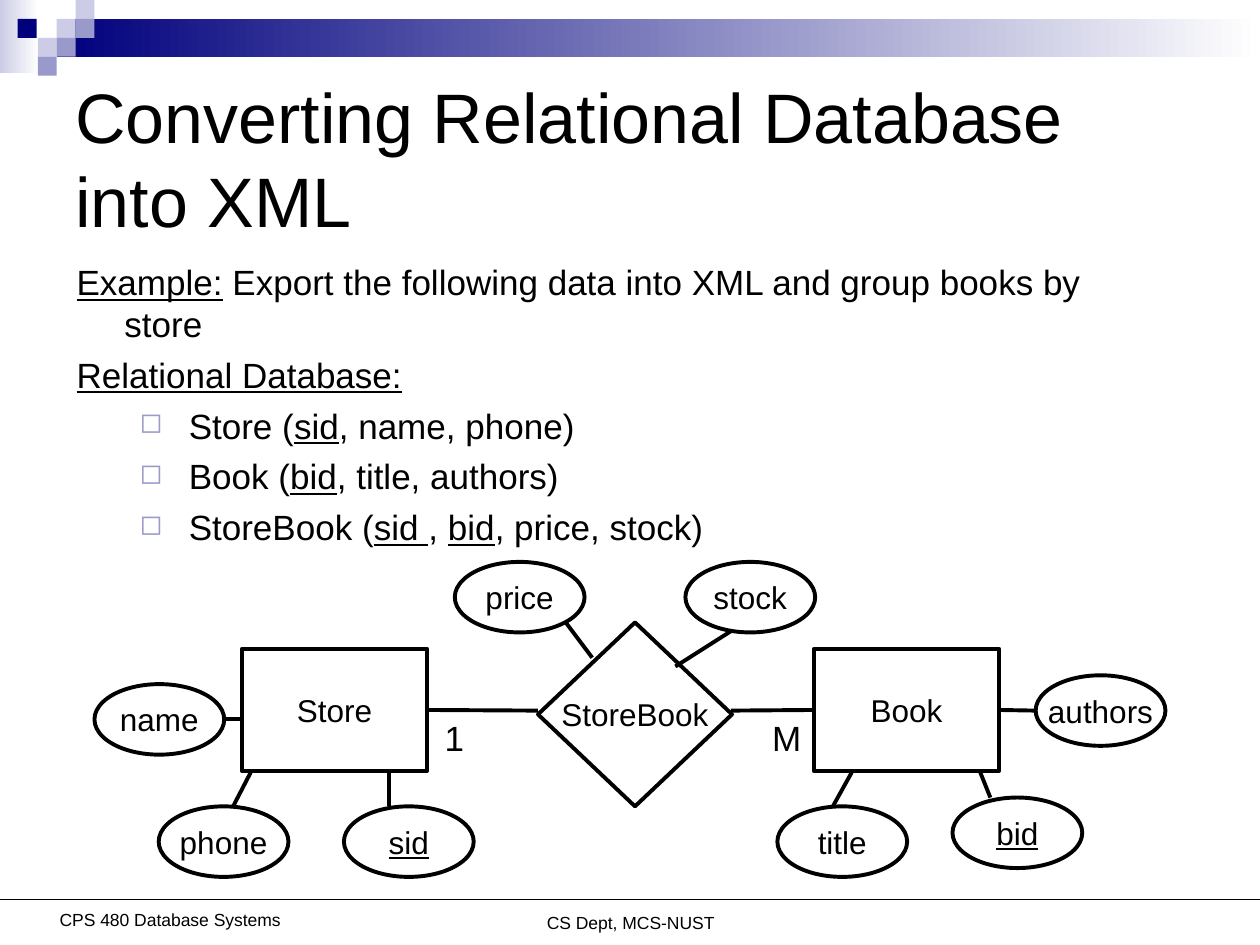
"""Build the slide on converting a relational database into XML."""
from typing import NamedTuple

from lxml import etree
from pptx import Presentation
from pptx.dml.color import RGBColor
from pptx.enum.shapes import MSO_CONNECTOR, MSO_SHAPE
from pptx.enum.text import MSO_ANCHOR, PP_ALIGN
from pptx.oxml.ns import qn
from pptx.util import Inches, Pt

RECT, OVAL, DIAMOND = MSO_SHAPE.RECTANGLE, MSO_SHAPE.OVAL, MSO_SHAPE.DIAMOND
STRAIGHT = MSO_CONNECTOR.STRAIGHT
LEFT, CENTER = PP_ALIGN.LEFT, PP_ALIGN.CENTER
TOP, MIDDLE = MSO_ANCHOR.TOP, MSO_ANCHOR.MIDDLE
BLACK, WHITE = RGBColor(0, 0, 0), RGBColor(255, 255, 255)
NAVY = RGBColor(0x00, 0x00, 0x7D)
LILAC = RGBColor(0x99, 0x99, 0xCC)
PALE = RGBColor(0xCC, 0xCC, 0xE6)
FONT = "Arial"
TILE = 0.15
OVAL_W, OVAL_H = 1.03, 0.56
BOX_W, BOX_H = 1.47, 0.97


class Area(NamedTuple):
    x: float
    y: float
    w: float
    h: float


class Node(NamedTuple):
    text: str
    kind: int
    area: Area
    key: bool = False


class Link(NamedTuple):
    x1: float
    y1: float
    x2: float
    y2: float
    start: tuple = ()
    end: tuple = ()


class Label(NamedTuple):
    text: str
    area: Area
    size: int
    align: int = LEFT
    anchor: int = TOP
    wrap: bool = True


class Item(NamedTuple):
    words: tuple
    bullet: bool = False


def oval(text: str, x: float, y: float, key: bool = False) -> Node:
    return Node(text, OVAL, Area(x, y, OVAL_W, OVAL_H), key)


def box(text: str, x: float) -> Node:
    return Node(text, RECT, Area(x, 5.15, BOX_W, BOX_H))


TILES = [
    (0.45, 0.15, PALE), (0.6, 0, PALE), (0.6, 0.15, LILAC), (0.3, 0.3, PALE),
    (0.14, 0.15, NAVY), (0.45, 0.3, LILAC), (0.3, 0.45, LILAC),
]
BANDS = [(Area(0, 0, 0.31, 0.58), PALE), (Area(0.45, 0.15, 9.55, 0.3), NAVY)]
LABELS = [
    Label("CS Dept, MCS-NUST", Area(2.92, 7.17, 4.17, 0.3), 10, CENTER, MIDDLE),
    Label("CPS 480 Database Systems", Area(0.35, 7.15, 2, 0.3), 10, CENTER, MIDDLE),
    Label("Converting Relational Database into XML", Area(0.5, 0.5, 9, 1.5), 40, LEFT, MIDDLE),
    Label("1", Area(3.43, 5.64, 0.35, 0.44), 20, wrap=False),
    Label("M", Area(6.03, 5.64, 0.43, 0.44), 20, wrap=False),
]
ITEMS = [
    Item((("Example:", True), (" Export the following data into XML and group books by store", False))),
    Item((("Relational Database:", True),)),
    Item((("Store (", False), ("sid", True), (", name, phone)", False)), True),
    Item((("Book (", False), ("bid", True), (", title, authors)", False)), True),
    Item((("StoreBook (", False), ("sid ", True), (", ", False), ("bid", True),
          (", price, stock)", False)), True),
]
NODES = [
    box("Store", 1.92), box("Book", 6.46),
    Node("StoreBook", DIAMOND, Area(4.27, 4.94, 1.54, 1.46)),
    oval("phone", 1.26, 6.4), oval("authors", 8.22, 5.36),
    oval("bid", 7.56, 6.33, True), oval("title", 6.17, 6.4),
    oval("sid", 2.73, 6.4, True), oval("name", 0.75, 5.43),
    oval("price", 3.61, 4.46), oval("stock", 5.44, 4.46),
]
LINKS = [
    Link(3.39, 5.64, 4.27, 5.64, start=("Store", 3)),
    Link(5.8, 5.64, 6.46, 5.64, end=("Book", 1)),
    Link(7.93, 5.64, 8.22, 5.64, start=("Book", 3)),
    Link(1.99, 6.13, 1.85, 6.4), Link(3.09, 6.13, 3.09, 6.4),
    Link(6.76, 6.13, 6.61, 6.4), Link(7.78, 6.13, 7.86, 6.33),
    Link(1.77, 5.71, 1.92, 5.71), Link(4.49, 4.94, 4.7, 5.22),
    Link(5.8, 5.01, 5.36, 5.29),
]


def place(area: tuple) -> list:
    return [Inches(v) for v in area]


def style(para, size: int, align: int = LEFT) -> None:
    para.alignment = align
    para.font.name, para.font.size = FONT, Pt(size)
    para.font.color.rgb = BLACK


def add_plain(slide, kind: int, area: Area):
    shape = slide.shapes.add_shape(kind, *place(area))
    shape.shadow.inherit = False
    shape.line.fill.background()
    return shape


def add_tile(slide, area: Area, color: RGBColor) -> None:
    fill = add_plain(slide, RECT, area).fill
    fill.solid()
    fill.fore_color.rgb = color


def add_band(slide, area: Area, color: RGBColor) -> None:
    fill = add_plain(slide, RECT, area).fill
    fill.gradient()
    fill.gradient_angle = 0
    for stop, tone in zip(fill.gradient_stops, (color, WHITE)):
        stop.color.rgb = tone


def add_label(slide, label: Label) -> None:
    frame = slide.shapes.add_textbox(*place(label.area)).text_frame
    frame.word_wrap, frame.vertical_anchor = label.wrap, label.anchor
    para = frame.paragraphs[0]
    para.text = label.text
    style(para, label.size, label.align)


def add_node(slide, node: Node):
    shape = add_plain(slide, node.kind, node.area)
    shape.fill.solid()
    shape.fill.fore_color.rgb = WHITE
    shape.line.color.rgb, shape.line.width = BLACK, Pt(2.25)
    frame = shape.text_frame
    frame.word_wrap, frame.vertical_anchor = False, MIDDLE
    para = frame.paragraphs[0]
    para.text = node.text
    style(para, 18, CENTER)
    para.font.underline = node.key
    return shape


def add_link(slide, link: Link, shapes: dict, width: float = 2.25) -> None:
    line = slide.shapes.add_connector(STRAIGHT, *place(link[:4]))
    line.line.color.rgb, line.line.width = BLACK, Pt(width)
    etree.SubElement(line._element.spPr, qn("a:effectLst"))
    if link.start:
        line.begin_connect(shapes[link.start[0]], link.start[1])
    if link.end:
        line.end_connect(shapes[link.end[0]], link.end[1])


def add_bullet(props) -> None:
    color = etree.SubElement(props, qn("a:buClr"))
    etree.SubElement(color, qn("a:srgbClr"), val=str(LILAC))
    etree.SubElement(props, qn("a:buSzPct"), val="80000")
    etree.SubElement(props, qn("a:buChar"), char="◻")


def add_body(slide, area: Area) -> None:
    frame = slide.shapes.add_textbox(*place(area)).text_frame
    frame.word_wrap = True
    for i, item in enumerate(ITEMS):
        para = frame.add_paragraph() if i else frame.paragraphs[0]
        props = para._p.get_or_add_pPr()
        margin, indent = (0.89, -0.39) if item.bullet else (0.38, -0.38)
        props.set("marL", str(Inches(margin)))
        props.set("indent", str(Inches(indent)))
        if item.bullet:
            add_bullet(props)
        para.space_before = Pt(5 if i else 0)
        style(para, 20)
        for text, key in item.words:
            run = para.add_run()
            run.text, run.font.underline = text, key


def main() -> None:
    deck = Presentation()
    deck.slide_width, deck.slide_height = Inches(10), Inches(7.5)
    slide = deck.slides.add_slide(deck.slide_layouts[6])
    for area, color in BANDS:
        add_band(slide, area, color)
    for x, y, color in TILES:
        add_tile(slide, Area(x, y, TILE, TILE), color)
    add_link(slide, Link(0, 7.14, 10, 7.14), {}, 0.75)
    for label in LABELS:
        add_label(slide, label)
    add_body(slide, Area(0.51, 2.02, 8.67, 2.94))
    shapes = {node.text: add_node(slide, node) for node in NODES}
    for link in LINKS:
        add_link(slide, link, shapes)
    deck.save("out.pptx")


if __name__ == "__main__":
    main()
